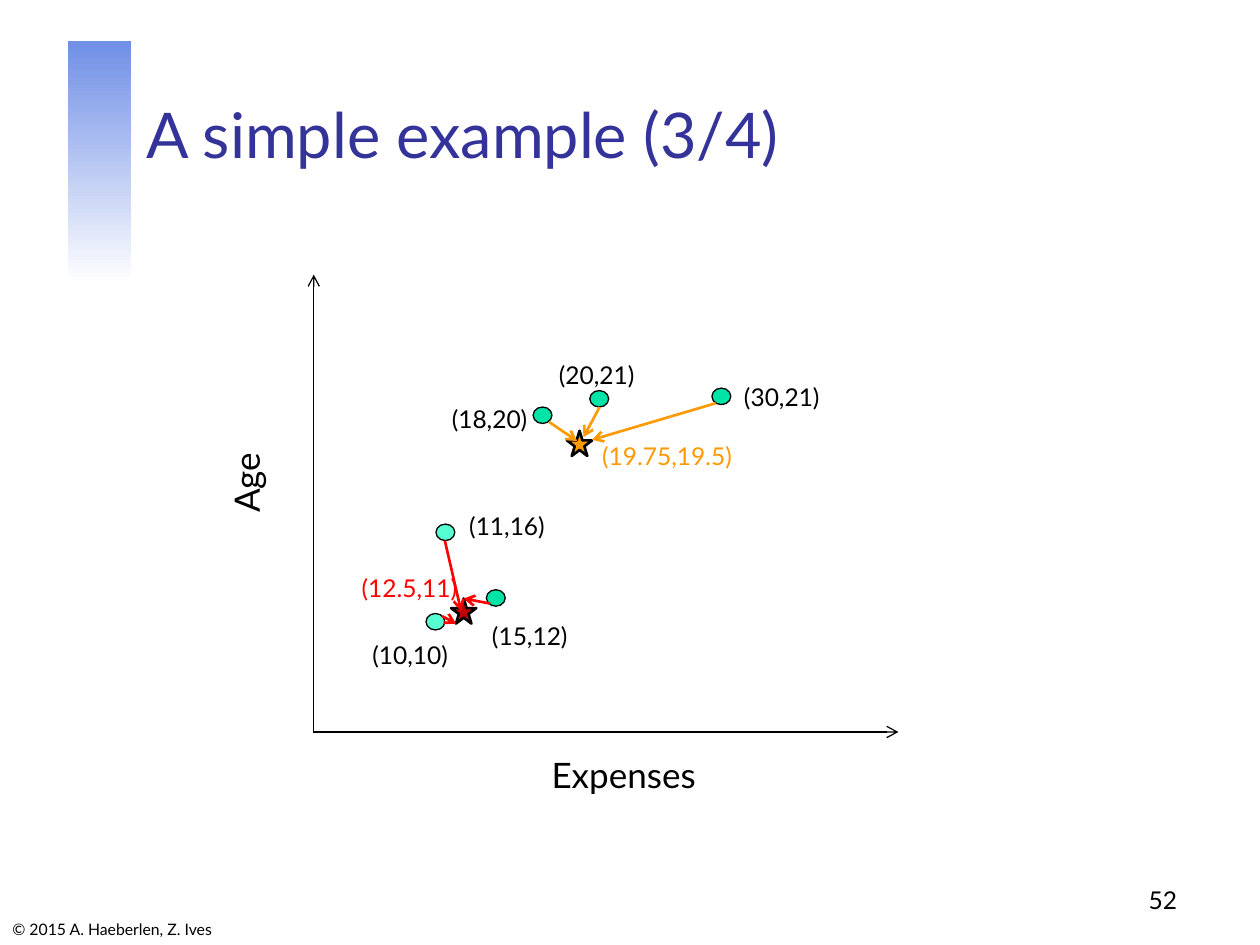
from dataclasses import dataclass

from lxml import etree
from pptx import Presentation
from pptx.dml.color import RGBColor
from pptx.enum.shapes import MSO_CONNECTOR, MSO_SHAPE
from pptx.enum.text import MSO_ANCHOR, MSO_AUTO_SIZE, PP_ALIGN
from pptx.oxml.ns import qn
from pptx.util import Pt

LEFT, CENTER, RIGHT = PP_ALIGN.LEFT, PP_ALIGN.CENTER, PP_ALIGN.RIGHT
TOP, BOTTOM = MSO_ANCHOR.TOP, MSO_ANCHOR.BOTTOM
OVAL, STAR, RECTANGLE = MSO_SHAPE.OVAL, MSO_SHAPE.STAR_5_POINT, MSO_SHAPE.RECTANGLE
STRAIGHT = MSO_CONNECTOR.STRAIGHT
NO_AUTOFIT = MSO_AUTO_SIZE.NONE

FONT = "Lato"
BLACK, NAVY = "000000", "333399"
GREEN, MINT = "00E4A8", "56FFD2"
ORANGE, RED, DARK_RED = "FF9900", "FF0000", "C00000"
DOT_SIZE = (10.8, 9.4)
STAR_SIZE = (14.4, 14.4)
LABEL_HEIGHT = 24.5


@dataclass
class Label:
    text: str
    left: float
    top: float
    width: float = 58.3
    height: float = LABEL_HEIGHT
    size: float = 14
    color: str = BLACK
    align: PP_ALIGN = CENTER
    anchor: MSO_ANCHOR = TOP
    space_before: float = 3.5
    wrap: bool = False
    rotation: float = 0


@dataclass
class Marker:
    left: float
    top: float
    fill: str


@dataclass
class Arrow:
    start: tuple[float, float]
    end: tuple[float, float]
    color: str
    weight: float = 1.5


AXES = [
    Arrow((179.3, 419), (179.3, 157), BLACK, 0.75),
    Arrow((179.3, 418.3), (513.4, 418.3), BLACK, 0.75),
]
AXIS_TITLES = [
    Label("Age", 100.1, 259.9, 81.4, 31.7, 20, space_before=5, wrap=True, rotation=270),
    Label("Expenses", 305.3, 427, 102.2, 31.7, 20, space_before=5),
]
DOTS = [
    Marker(406.8, 221.8, GREEN),
    Marker(249.1, 299.5, MINT),
    Marker(337, 223.2, GREEN),
    Marker(277.9, 337, GREEN),
    Marker(243.4, 350.6, MINT),
    Marker(304.6, 232.6, GREEN),
]
CENTROIDS = [Marker(324, 246.2, ORANGE), Marker(257.8, 342, DARK_RED)]
POINT_LABELS = [
    Label("(10,10)", 205.2, 362.2),
    Label("(15,12)", 273.6, 351.4),
    Label("(11,16)", 260.6, 288.7),
    Label("(18,20)", 250.6, 227.5),
    Label("(30,21)", 417.6, 214.6),
    Label("(20,21)", 311.8, 202.3),
]
CENTROID_LABELS = [
    Label("(19.75,19.5)", 336.2, 248.4, 90, color=ORANGE),
    Label("(12.5,11)", 198.7, 324, 70.6, color=RED),
]
ASSIGNMENTS = [
    Arrow((254.2, 308.9), (263.5, 349.2), RED),
    Arrow((313.9, 241.2), (329.8, 252), ORANGE),
    Arrow((342.7, 232.6), (333.4, 249.8), ORANGE),
    Arrow((409, 230.4), (338.4, 251.3), ORANGE),
    Arrow((252.7, 352.1), (260.6, 356.4), RED),
    Arrow((280.1, 344.9), (265, 342), RED),
]
COPYRIGHT = Label("© 2015 A. Haeberlen, Z. Ives", 0, 519.8, 139.7, 20.2, 9,
                  align=LEFT, anchor=BOTTOM, space_before=0)
PAGE_NUMBER = Label("52", 529.9, 490.3, 149.8, 36, 14,
                    align=RIGHT, anchor=BOTTOM, space_before=0, wrap=True)


def rgb(color: str) -> RGBColor:
    return RGBColor.from_string(color)


def style_paragraph(paragraph, size: float, color: str, align: PP_ALIGN) -> None:
    paragraph.alignment = align
    for run in paragraph.runs:
        run.font.name = FONT
        run.font.size = Pt(size)
        run.font.color.rgb = rgb(color)


def draw_label(shapes, label: Label) -> None:
    box = shapes.add_textbox(Pt(label.left), Pt(label.top), Pt(label.width), Pt(label.height))
    box.rotation = label.rotation
    frame = box.text_frame
    frame.word_wrap = label.wrap
    frame.vertical_anchor = label.anchor
    frame.text = label.text
    paragraph = frame.paragraphs[0]
    paragraph.space_before = Pt(label.space_before)
    style_paragraph(paragraph, label.size, label.color, label.align)


def draw_marker(shapes, marker: Marker, kind: MSO_SHAPE,
                size: tuple[float, float], weight: float) -> None:
    width, height = size
    shape = shapes.add_shape(kind, Pt(marker.left), Pt(marker.top), Pt(width), Pt(height))
    shape.shadow.inherit = False
    shape.fill.solid()
    shape.fill.fore_color.rgb = rgb(marker.fill)
    shape.line.color.rgb = rgb(BLACK)
    shape.line.width = Pt(weight)


def draw_arrow(shapes, arrow: Arrow) -> None:
    connector = shapes.add_connector(STRAIGHT, *map(Pt, arrow.start + arrow.end))
    connector.line.color.rgb = rgb(arrow.color)
    connector.line.width = Pt(arrow.weight)
    properties = connector.element.spPr
    etree.SubElement(properties.find(qn("a:ln")), qn("a:tailEnd"), type="arrow")
    etree.SubElement(properties, qn("a:effectLst"))


def draw_accent(shapes) -> None:
    accent = shapes.add_shape(RECTANGLE, Pt(38.9), Pt(23.4), Pt(36), Pt(138.6))
    accent.shadow.inherit = False
    accent.line.fill.background()
    accent.fill.gradient()
    accent.fill.gradient_angle = 270
    for stop, color, position in zip(accent.fill.gradient_stops, ("708FE6", "FFFFFF"), (0, 1)):
        stop.color.rgb = rgb(color)
        stop.position = position


def fill_title(title) -> None:
    title.left, title.top, title.width, title.height = map(Pt, (76.3, 23.8, 613.4, 77.8))
    frame = title.text_frame
    frame.text = "A simple example (3/4)"
    frame.auto_size = NO_AUTOFIT
    frame.vertical_anchor = BOTTOM
    style_paragraph(frame.paragraphs[0], 36, NAVY, LEFT)


def main() -> None:
    deck = Presentation()
    deck.slide_width, deck.slide_height = Pt(720), Pt(540)
    slide = deck.slides.add_slide(deck.slide_layouts[5])
    shapes = slide.shapes
    draw_accent(shapes)
    draw_label(shapes, COPYRIGHT)
    fill_title(shapes.title)
    draw_label(shapes, PAGE_NUMBER)

    axes = shapes.add_group_shape().shapes
    for axis in AXES:
        draw_arrow(axes, axis)
    for axis_title in AXIS_TITLES:
        draw_label(axes, axis_title)

    for dot in DOTS:
        draw_marker(shapes, dot, OVAL, DOT_SIZE, 0.75)
    for centroid in CENTROIDS:
        draw_marker(shapes, centroid, STAR, STAR_SIZE, 1.5)
    for label in POINT_LABELS + CENTROID_LABELS:
        draw_label(shapes, label)
    for assignment in ASSIGNMENTS:
        draw_arrow(shapes, assignment)
    deck.save("out.pptx")


if __name__ == "__main__":
    main()
